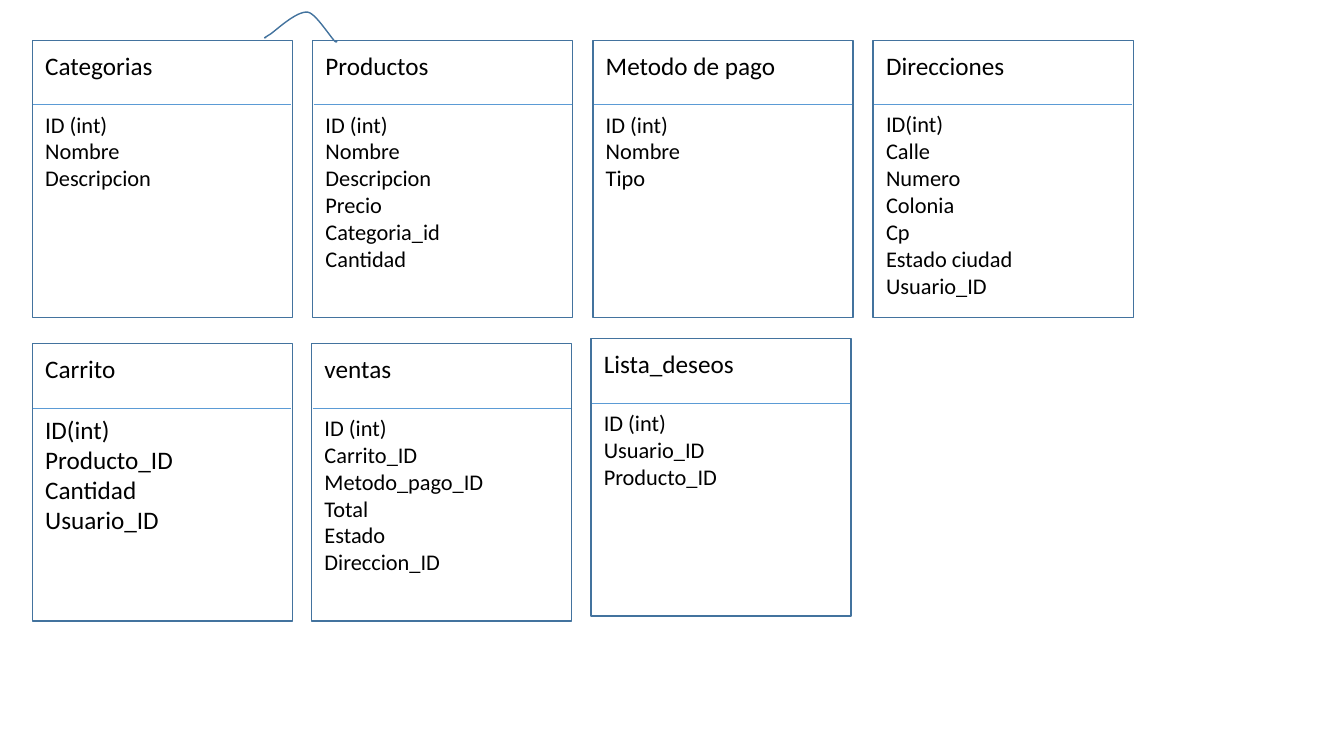
"""Builds a slide of database entity cards joined by a curved link."""
from lxml import etree
from pptx import Presentation
from pptx import util as u
from pptx.dml.color import RGBColor
from pptx.enum import shapes, text
from pptx.oxml.ns import qn

BORDER = RGBColor(0x43, 0x73, 0x9E)
DIVIDER = RGBColor(0x5B, 0x9B, 0xD5)
INK = RGBColor(0, 0, 0)
FONT = "Calibri"
LEFT, CARD_W, CARD_H, HEADER_H = 0.32, 2.58, 2.75, 0.64
TITLE_SIZE, LINE_FACTOR = 18, 1.22

ROWS = [
    (0.4, 2.78, 16, [
        ("Categorias", ["ID (int)", "Nombre", "Descripcion"]),
        ("Productos", ["ID (int)", "Nombre", "Descripcion", "Precio",
                       "Categoria_id", "Cantidad"]),
        ("Metodo de pago", ["ID (int)", "Nombre", "Tipo"]),
        ("Direcciones", ["ID(int)", "Calle", "Numero", "Colonia", "Cp",
                         "Estado ciudad", "Usuario_ID"]),
    ]),
    (3.41, 2.77, 16, [
        ("Carrito", ["ID(int)", "Producto_ID", "Cantidad", "Usuario_ID"]),
        ("ventas", ["ID (int)", "Carrito_ID", "Metodo_pago_ID", "Total",
                    "Estado", "Direccion_ID"]),
        ("Lista_deseos", ["ID (int)", "Usuario_ID", "Producto_ID"]),
    ]),
]
FIELD_SIZES = {"Carrito": 18}
RAISED = {"Lista_deseos": 0.05}

LINK_START = (2.64, 0.37)
LINK_CURVES = [
    ((2.62, 0.38), (2.61, 0.38), (2.68, 0.34)),
    ((2.75, 0.29), (2.94, 0.11), (3.05, 0.12)),
    ((3.15, 0.13), (3.35, 0.5), (3.34, 0.4)),
]


def add_entity_text(slide, x, y, entity, fields, field_size):
    """Write the entity name and its fields in one text box."""
    points = LINE_FACTOR * (2 * TITLE_SIZE + field_size * len(fields))
    box = slide.shapes.add_textbox(u.Inches(x), u.Inches(y), u.Inches(2.56),
                                   u.Inches(0.1 + points / 72))
    frame = box.text_frame
    frame.word_wrap = True
    frame.auto_size = text.MSO_AUTO_SIZE.SHAPE_TO_FIT_TEXT
    frame.text = "\n".join([entity, *fields])
    for position, paragraph in enumerate(frame.paragraphs):
        paragraph.font.name = FONT
        paragraph.font.size = u.Pt(field_size if position else TITLE_SIZE)
        paragraph.font.color.rgb = INK
    frame.paragraphs[1].space_before = u.Pt(21.5)


def style_outline(shape):
    """Give a shape a plain border with no fill or shadow."""
    shape.shadow.inherit = False
    shape.fill.background()
    shape.line.color.rgb = BORDER
    shape.line.width = u.Pt(1)


def add_divider(slide, x, y):
    """Draw the line between an entity's name and its fields."""
    divider = slide.shapes.add_connector(
        shapes.MSO_CONNECTOR.STRAIGHT, u.Inches(x), u.Inches(y),
        u.Inches(x + 2.56), u.Inches(y))
    divider.line.color.rgb = DIVIDER
    divider.line.width = u.Pt(0.5)
    etree.SubElement(divider._element.spPr, qn("a:effectLst"))


def add_entity(slide, x, y, entity, fields, field_size):
    """Draw one entity card."""
    add_entity_text(slide, x + 0.03, y + 0.05, entity, fields, field_size)
    style_outline(slide.shapes.add_shape(
        shapes.MSO_SHAPE.RECTANGLE, u.Inches(x), u.Inches(y),
        u.Inches(CARD_W), u.Inches(CARD_H)))
    add_divider(slide, x + 0.01, y + HEADER_H)


def curve_points(start, curves, steps=16):
    """Return points, in EMU, along a chain of cubic curves given in inches."""
    points = [tuple(u.Inches(value) for value in start)]
    for first, second, end in curves:
        corners = (start, first, second, end)
        for step in range(1, steps + 1):
            t = step / steps
            weights = ((1 - t) ** 3, 3 * t * (1 - t) ** 2,
                       3 * t ** 2 * (1 - t), t ** 3)
            points.append(tuple(
                u.Inches(sum(w * c[axis] for w, c in zip(weights, corners)))
                for axis in (0, 1)))
        start = end
    return points


def add_link(slide):
    """Draw the curved link from Categorias to Productos."""
    start, *rest = curve_points(LINK_START, LINK_CURVES)
    builder = slide.shapes.build_freeform(*start)
    builder.add_line_segments(rest, close=False)
    style_outline(builder.convert_to_shape())


def main():
    """Build and save the slide."""
    deck = Presentation()
    deck.slide_width, deck.slide_height = u.Inches(13.33), u.Inches(7.5)
    slide = deck.slides.add_slide(deck.slide_layouts[6])
    for top, pitch, field_size, entities in ROWS:
        for column, (entity, fields) in enumerate(entities):
            add_entity(slide, LEFT + column * pitch, top - RAISED.get(entity, 0),
                       entity, fields, FIELD_SIZES.get(entity, field_size))
    add_link(slide)
    deck.save("out.pptx")


if __name__ == "__main__":
    main()
